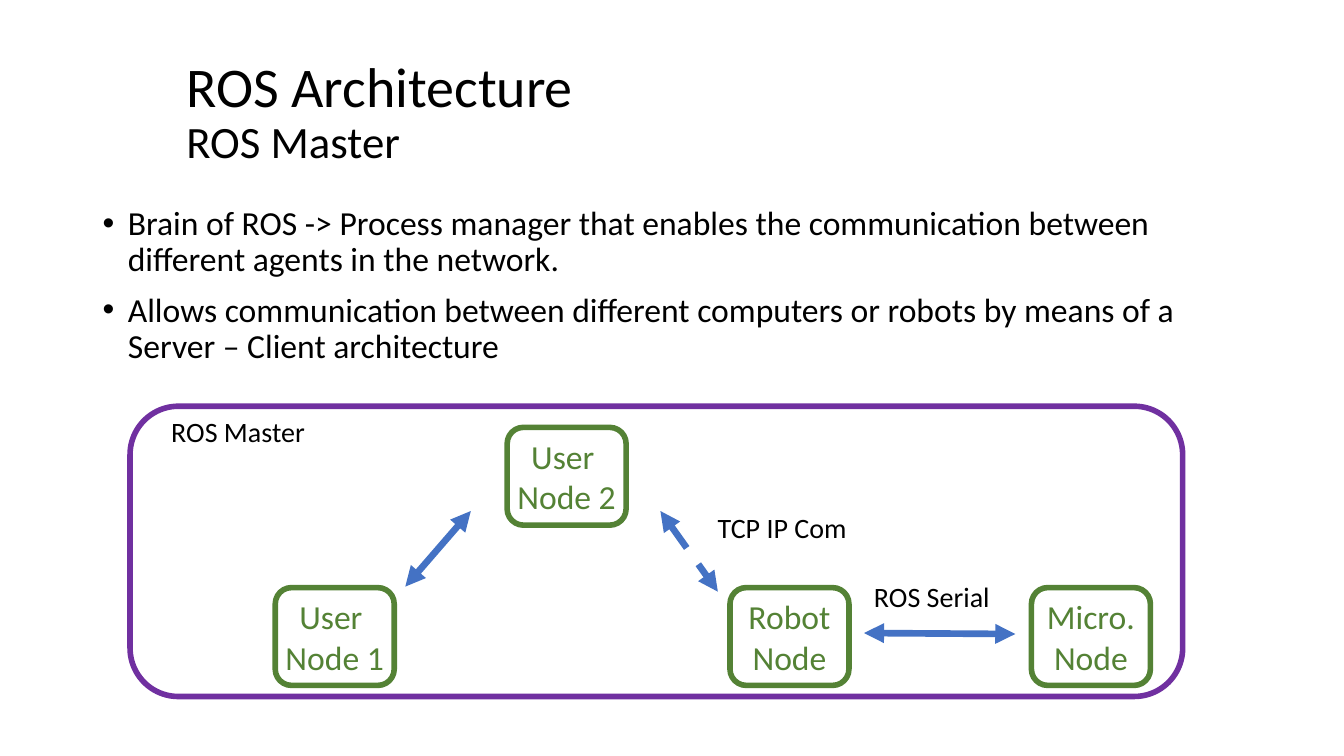
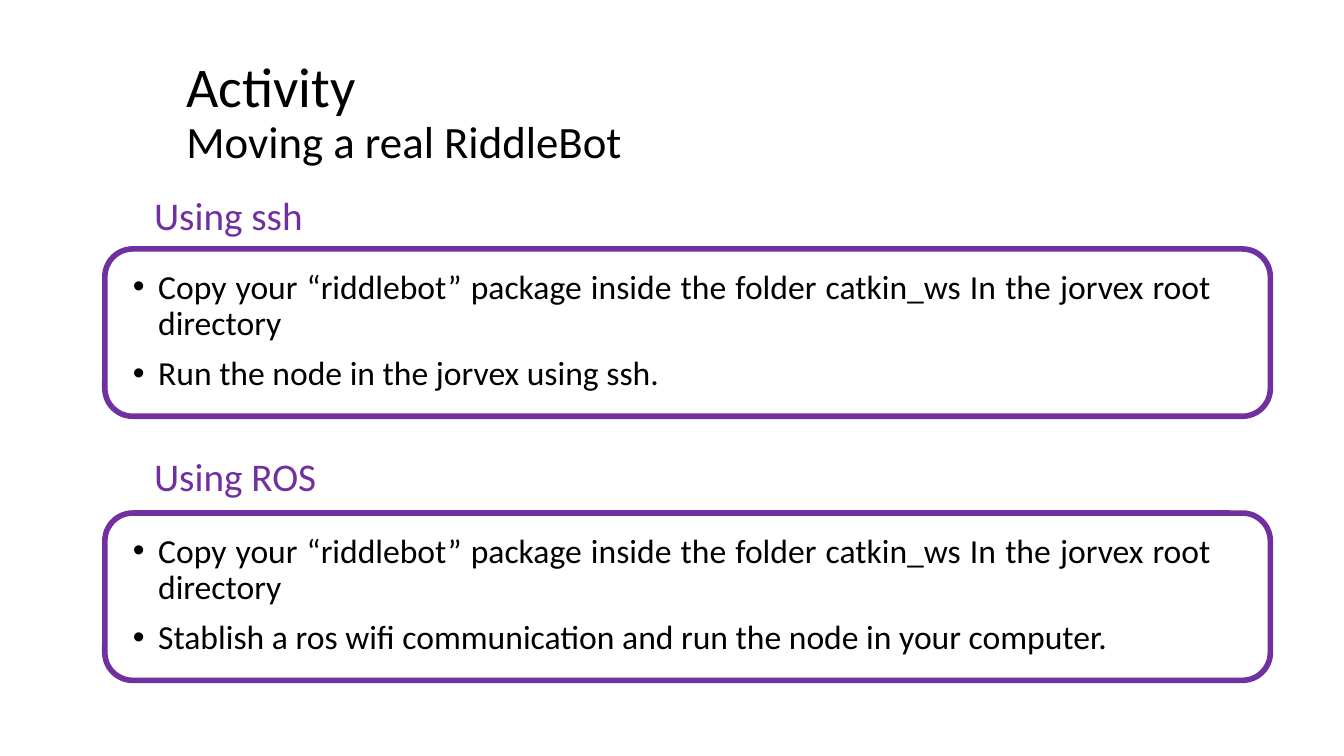
from dataclasses import dataclass

from lxml import etree
from pptx import Presentation
from pptx.dml.color import RGBColor
from pptx.enum.dml import MSO_LINE
from pptx.enum.shapes import MSO_CONNECTOR, MSO_SHAPE
from pptx.enum.text import MSO_ANCHOR, PP_ALIGN
from pptx.oxml.ns import qn
from pptx.util import Inches, Pt


@dataclass(frozen=True)
class Theme:
    font: str = "Calibri"
    ink: RGBColor = RGBColor(0x00, 0x00, 0x00)
    purple: RGBColor = RGBColor(0x70, 0x30, 0xA0)
    green: RGBColor = RGBColor(0x54, 0x82, 0x35)
    blue: RGBColor = RGBColor(0x44, 0x72, 0xC4)
    title: int = 40
    subtitle: int = 32
    heading: int = 28
    body: int = 24
    label: int = 20
    outline: float = 4
    arrow: float = 4.75


THEME = Theme()

# Content: ROS Master
MASTER_TITLE = ("ROS Architecture ", "ROS Master")
MASTER_POINTS = [
    "Brain of ROS -> Process manager that enables the communication between "
    "different agents in the network.",
    "Allows communication between different computers or robots by means of a "
    "Server – Client architecture",
]
NETWORK_FRAME = (1.29, 4.03, 10.44, 2.88)
NODE_SIZE = (1.18, 0.97)
UPPER_ROW, LOWER_ROW = 4.24, 5.83
NODES = [  # lines, left, top
    (("User ", "Node 1"), 2.73, LOWER_ROW),
    (("User ", "Node 2"), 5.03, UPPER_ROW),
    (("Robot", "Node"), 7.24, LOWER_ROW),
    (("Micro.", "Node"), 10.23, LOWER_ROW),
]
LINKS = [  # start, end, dashed
    ((8.57, 6.28), (10.07, 6.29), False),
    ((6.55, 5.07), (7.12, 5.87), True),
    ((4.67, 5.07), (4.02, 5.82), False),
]
LABELS = [
    ("ROS Serial", (8.57, 5.7, 1.5, 0.44)),
    ("TCP IP Com", (7.02, 5.02, 1.64, 0.44)),
    ("ROS Master", (1.6, 4.06, 2.32, 0.44)),
]

# Content: activity
ACTIVITY_TITLE = ("Activity", "Moving a real RiddleBot")
COPY_STEP = ("Copy your “riddlebot” package inside the folder catkin_ws "
             "In the jorvex root directory")
METHODS = [  # heading, heading top, panel top, steps
    ("Using ssh", 1.85, 2.47,
     [COPY_STEP, "Run the node in the jorvex using ssh. "]),
    ("Using ROS", 4.44, 5.09,
     [COPY_STEP,
      "Stablish a ros wifi communication and run the node in your computer. "]),
]


# Shared parts
def style(paragraph, size, color):
    for run in paragraph.runs:
        run.font.name = THEME.font
        run.font.size = Pt(size)
        run.font.color.rgb = color


def add_text(slide, box, lines, size, color=THEME.ink):
    frame = slide.shapes.add_textbox(*map(Inches, box)).text_frame
    frame.word_wrap = True
    frame.text = "\n".join(lines)
    for paragraph in frame.paragraphs:
        style(paragraph, size, color)
    return frame


def add_title(slide, lines):
    frame = add_text(slide, (1.75, 0.4, 8.37, 1.45), ["\v".join(lines)],
                     THEME.title)
    frame.vertical_anchor = MSO_ANCHOR.MIDDLE
    heading = frame.paragraphs[0]
    heading.line_spacing = 0.9
    heading.runs[-1].font.size = Pt(THEME.subtitle)


def add_bullets(slide, box, points, align=PP_ALIGN.LEFT):
    for paragraph in add_text(slide, box, points, THEME.body).paragraphs:
        paragraph.alignment = align
        paragraph.line_spacing = 0.9
        paragraph.space_before = Pt(10)
        props = paragraph._p.get_or_add_pPr()
        props.set("marL", str(Inches(0.25)))
        props.set("indent", str(Inches(-0.25)))
        etree.SubElement(props, qn("a:buFont")).set("typeface", "Arial")
        etree.SubElement(props, qn("a:buChar")).set("char", "•")


def add_outline(slide, box, color):
    outline = slide.shapes.add_shape(MSO_SHAPE.ROUNDED_RECTANGLE,
                                     *map(Inches, box))
    outline.shadow.inherit = False
    outline.fill.background()
    outline.line.color.rgb = color
    outline.line.width = Pt(THEME.outline)
    return outline


def add_link(slide, start, end, dashed):
    link = slide.shapes.add_connector(MSO_CONNECTOR.STRAIGHT,
                                      *map(Inches, start + end))
    link.line.color.rgb = THEME.blue
    link.line.width = Pt(THEME.arrow)
    if dashed:
        link.line.dash_style = MSO_LINE.DASH
    line = link.line._get_or_add_ln()
    for tip in ("a:headEnd", "a:tailEnd"):
        etree.SubElement(line, qn(tip)).set("type", "triangle")
    etree.SubElement(link._element.spPr, qn("a:effectLst"))


def add_node(slide, lines, left, top):
    frame = add_outline(slide, (left, top) + NODE_SIZE, THEME.green).text_frame
    frame.margin_left = frame.margin_right = 0
    frame.margin_top = frame.margin_bottom = 0
    frame.vertical_anchor = MSO_ANCHOR.MIDDLE
    frame.text = "\n".join(lines)
    for paragraph in frame.paragraphs:
        paragraph.alignment = PP_ALIGN.CENTER
        style(paragraph, THEME.body, THEME.green)


# Slides
def build_master(slide):
    add_title(slide, MASTER_TITLE)
    add_bullets(slide, (0.92, 2, 11.5, 1.9), MASTER_POINTS)
    add_outline(slide, NETWORK_FRAME, THEME.purple)
    for link in LINKS:
        add_link(slide, *link)
    for label, box in LABELS:
        add_text(slide, box, [label], THEME.label)
    for node in NODES:
        add_node(slide, *node)


def build_activity(slide):
    add_title(slide, ACTIVITY_TITLE)
    for heading, heading_top, panel_top, steps in METHODS:
        add_text(slide, (1.43, heading_top, 3.32, 0.57), [heading],
                 THEME.heading, THEME.purple)
        add_outline(slide, (1.04, panel_top, 11.56, 1.66), THEME.purple)
        add_bullets(slide, (1.22, panel_top + 0.16, 10.89, 1.5), steps,
                    PP_ALIGN.JUSTIFY)


def main():
    deck = Presentation()
    deck.slide_width, deck.slide_height = Inches(13.33), Inches(7.5)
    for build in (build_master, build_activity):
        build(deck.slides.add_slide(deck.slide_layouts[6]))
    deck.save("out.pptx")


if __name__ == "__main__":
    main()
